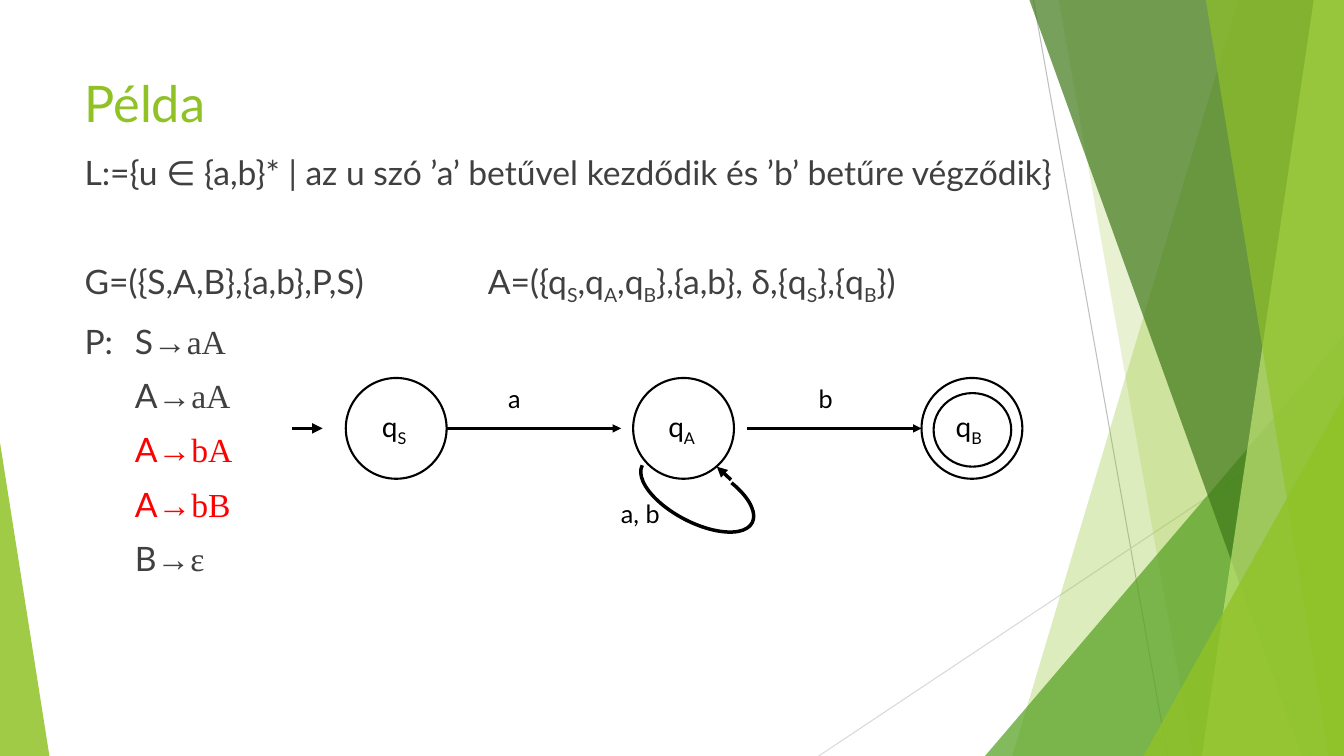
from dataclasses import dataclass
from typing import NamedTuple, Optional

from lxml import etree
from pptx import Presentation
from pptx.dml.color import RGBColor
from pptx.enum.shapes import MSO_CONNECTOR as CONN, MSO_SHAPE as SHAPE
from pptx.oxml.ns import qn
from pptx.util import Inches, Pt

W, H = 13.33, 7.5


@dataclass(frozen=True)
class Theme:
    lime: str = "90C226"
    pale: str = "C0E474"
    green: str = "54A021"
    forest: str = "3F7819"
    rule: str = "BFBFBF"
    light_rule: str = "D9D9D9"
    ink: str = "000000"
    text: str = "404040"
    accent: str = "FF0000"
    sans: str = "Lato"
    serif: str = "Times New Roman"
    title: int = 36
    body: int = 24
    state: int = 20
    symbol: int = 18


T = Theme()


class Band(NamedTuple):
    """Slanted band running from the top edge to the bottom edge."""
    top: float
    bottom: float
    color: str
    alpha: int


class Wedge(NamedTuple):
    """Right triangle standing on the bottom edge."""
    left: float
    top: float
    width: float
    apex: float
    color: str
    alpha: int


class Line(NamedTuple):
    x1: float
    y1: float
    x2: float
    y2: float
    width: float
    color: str = T.ink
    arrow: bool = True


class Ring(NamedTuple):
    left: float
    top: float
    width: float
    height: float


class Label(NamedTuple):
    text: str
    left: float
    top: float
    width: float
    size: int


class Rule(NamedTuple):
    """Grammar line: lead text, sans left side, serif right side."""
    lead: str
    left: str
    right: str = ""
    color: str = T.text
    before: float = 10


RULE_LINES = [Line(10.25, 0, 11.58, H, 0.75, T.rule, False),
              Line(W, 4.03, 8.12, H, 0.75, T.light_rule, False)]
BACKDROP = [
    Band(12.28, 10.04, T.lime, 30),
    Band(10.5, 11.83, T.lime, 20),
    Wedge(9.77, 3.33, 3.56, 1, T.green, 72),
    Band(10.21, 12.91, T.forest, 70),
    Band(13.03, 11.92, T.pale, 70),
    Band(11.96, 13.18, T.lime, 65),
    Wedge(11.34, 3.93, 1.99, 1, T.lime, 80),
    Wedge(0, 4.39, 0.49, 0, T.lime, 85),
]
# An underscore marks the next letter as a subscript
BODY = [
    Rule("L:={u ∈ {a,b}* | az u szó ’a’ betűvel kezdődik és ’b’ betűre végződik}", "", before=0),
    Rule("G=({S,A,B},{a,b},P,S)\t", "A=({q_S,q_A,q_B},{a,b}, δ,{q_S},{q_B})", before=48.8),
    Rule("P:\t", "S", "→aA"),
    Rule("\t", "A", "→aA"),
    Rule("\t", "A", "→bA", T.accent),
    Rule("\t", "A", "→bB", T.accent),
    Rule("\t", "B", "→ε"),
]
TAB_STOPS = (0.5, 4.0)
RINGS = [Ring(x, 3.75, 1, 1) for x in (3.43, 6.28, 9.14)] + [Ring(9.26, 3.9, 0.77, 0.73)]
ARROWS = [Line(2.9, 4.25, 3.2, 4.25, 2.5), Line(4.43, 4.25, 6.16, 4.25, 2),
          Line(7.41, 4.25, 9.14, 4.25, 2), Line(7.25, 4.76, 7.11, 4.63, 2.5)]
LABELS = [
    Label("q_S", 3.69, 4.01, 0.53, T.state),
    Label("q_A", 6.53, 4.01, 0.67, T.state),
    Label("q_B", 9.38, 4.01, 0.53, T.state),
    Label("a", 4.94, 3.75, 0.32, T.symbol),
    Label("a, b", 6.06, 4.89, 0.72, T.symbol),
    Label("b", 8.02, 3.75, 0.32, T.symbol),
]


def set_line(line, color: str, width: float) -> None:
    line.color.rgb = RGBColor.from_string(color)
    line.width = Pt(width)


def fill_clear(sp, color: str, alpha: int) -> None:
    sp.shadow.inherit = False
    sp.line.fill.background()
    sp.fill.solid()
    sp.fill.fore_color.rgb = RGBColor.from_string(color)
    clr = sp._element.spPr.find(qn("a:solidFill")).find(qn("a:srgbClr"))
    etree.SubElement(clr, qn("a:alpha")).set("val", str(alpha * 1000))


def draw_band(s, b: Band) -> None:
    fb = s.shapes.build_freeform(Inches(b.top), 0)
    fb.add_line_segments([(Inches(x), Inches(y)) for x, y in
                          ((W, 0), (W, H), (b.bottom, H))], close=True)
    fill_clear(fb.convert_to_shape(), b.color, b.alpha)


def draw_wedge(s, w: Wedge) -> None:
    sp = s.shapes.add_shape(SHAPE.ISOSCELES_TRIANGLE, Inches(w.left), Inches(w.top),
                            Inches(w.width), Inches(H - w.top))
    sp.adjustments[0] = w.apex
    fill_clear(sp, w.color, w.alpha)


def draw_line(s, ln: Line) -> None:
    c = s.shapes.add_connector(CONN.STRAIGHT, *map(Inches, ln[:4]))
    set_line(c.line, ln.color, ln.width)
    spPr = c._element.spPr
    if ln.arrow:
        etree.SubElement(spPr.find(qn("a:ln")), qn("a:tailEnd")).set("type", "triangle")
    etree.SubElement(spPr, qn("a:effectLst"))


def draw_outline(s, kind: SHAPE, box: Ring, width: float):
    sp = s.shapes.add_shape(kind, *map(Inches, box))
    sp.shadow.inherit = False
    sp.fill.background()
    set_line(sp.line, T.ink, width)
    return sp


def add_run(p, text: str, size: int, color: str, font: str, base: Optional[int] = None) -> None:
    r = p.add_run()
    r.text = text
    for name, value in {"name": font, "size": Pt(size)}.items():
        setattr(r.font, name, value)
    r.font.color.rgb = RGBColor.from_string(color)
    if base:
        r._r.get_or_add_rPr().set("baseline", str(base))


def add_text(p, text: str, size: int, color: str, font: str = T.sans) -> None:
    plain, *rest = text.split("_")
    if plain:
        add_run(p, plain, size, color, font)
    for part in rest:
        add_run(p, part[0], size, color, font, -25000)
        if part[1:]:
            add_run(p, part[1:], size, color, font)


def text_frame(s, left: float, top: float, width: float, height: float):
    tf = s.shapes.add_textbox(*map(Inches, (left, top, width, height))).text_frame
    tf.word_wrap = True
    return tf


def draw_body(s) -> None:
    tf = text_frame(s, 0.74, 1.46, 10.72, 5.36)
    for i, rule in enumerate(BODY):
        p = tf.add_paragraph() if i else tf.paragraphs[0]
        tabs = etree.SubElement(p._p.get_or_add_pPr(), qn("a:tabLst"))
        for stop in TAB_STOPS:
            tab = etree.SubElement(tabs, qn("a:tab"))
            tab.set("pos", str(Inches(stop)))
            tab.set("algn", "l")
        p.space_before = Pt(rule.before)
        add_text(p, rule.lead, T.body, T.text)
        add_text(p, rule.left, T.body, rule.color)
        add_text(p, rule.right, T.body, rule.color, T.serif)


def main() -> None:
    prs = Presentation()
    prs.slide_width, prs.slide_height = Inches(W), Inches(H)
    s = prs.slides.add_slide(prs.slide_layouts[6])

    # Backdrop
    for ln in RULE_LINES:
        draw_line(s, ln)
    for part in BACKDROP:
        (draw_band if isinstance(part, Band) else draw_wedge)(s, part)

    # Title and grammar
    add_text(text_frame(s, 0.74, 0.67, 9.4, 0.75).paragraphs[0], "Példa", T.title, T.lime)
    draw_body(s)

    # Automaton: states, transitions, loop and labels
    for ring in RINGS:
        draw_outline(s, SHAPE.OVAL, ring, 1.5)
    for arrow in ARROWS:
        draw_line(s, arrow)
    loop = draw_outline(s, SHAPE.ARC, Ring(6.3, 4.62, 1.23, 0.56), 2.5)
    loop.adjustments[0], loop.adjustments[1] = 80.58, 0
    loop.rotation = 207.6
    for lb in LABELS:
        tf = text_frame(s, lb.left, lb.top, lb.width, 0.42)
        add_text(tf.paragraphs[0], lb.text, lb.size, T.ink)

    prs.save("out.pptx")


if __name__ == "__main__":
    main()
